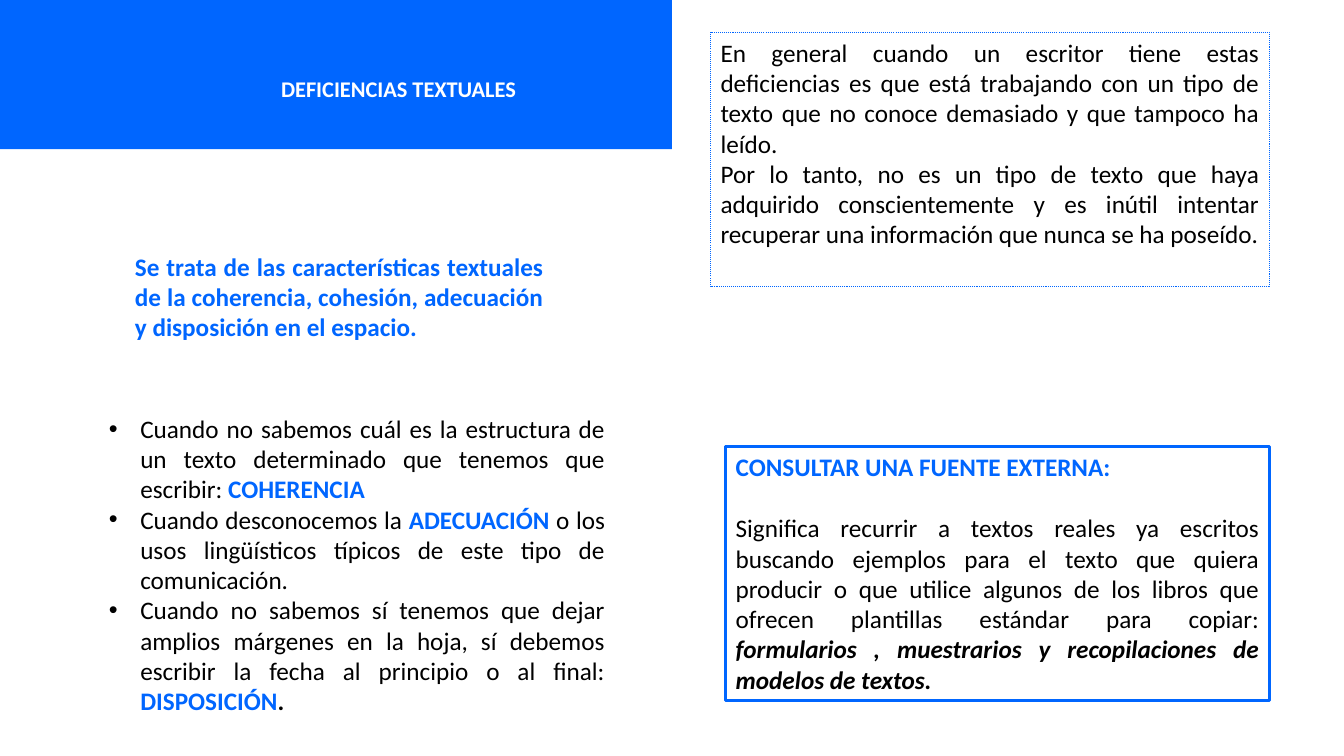
import pptx
import pptx.dml.color
import pptx.enum.dml
import pptx.enum.shapes
import pptx.enum.text
import pptx.oxml
import pptx.oxml.ns
import pptx.util

Pt = pptx.util.Pt
BLUE, BLACK, WHITE = "0066FF", "000000", "FFFFFF"
JUSTIFY = pptx.enum.text.PP_ALIGN.JUSTIFY
BULLET_INDENT = 22.5


def color(value):
    return pptx.dml.color.RGBColor.from_string(value)


def add_rectangle(page, left, top, width, height, fill=None, line=None, weight=0.75, dash=None):
    box = page.shapes.add_shape(pptx.enum.shapes.MSO_SHAPE.RECTANGLE,
                                Pt(left), Pt(top), Pt(width), Pt(height))
    box.shadow.inherit = False
    if fill:
        box.fill.solid()
        box.fill.fore_color.rgb = color(fill)
    else:
        box.fill.background()
    if line:
        box.line.color.rgb = color(line)
        box.line.width = Pt(weight)
        box.line.dash_style = dash
    else:
        box.line.fill.background()
    return box


def add_text_box(page, left, top, width, height):
    return page.shapes.add_textbox(Pt(left), Pt(top), Pt(width), Pt(height))


def add_bullet(para):
    properties = para._p.get_or_add_pPr()
    properties.set("marL", str(Pt(BULLET_INDENT)))
    properties.set("indent", str(-Pt(BULLET_INDENT)))
    namespace = pptx.oxml.ns.nsdecls("a")
    for tag in ('buFont {} typeface="Arial"', 'buChar {} char="•"'):
        properties.append(pptx.oxml.parse_xml(f"<a:{tag.format(namespace)}/>"))


def write(box, paragraphs, size=18, align=JUSTIFY, bullets=False):
    """Fill the box; each paragraph is a list of (text, colour, style), style holding b and/or i."""
    frame = box.text_frame
    frame.word_wrap = True
    frame.vertical_anchor = pptx.enum.text.MSO_ANCHOR.TOP
    for index, spans in enumerate(paragraphs):
        para = frame.add_paragraph() if index else frame.paragraphs[0]
        para.alignment = align
        if bullets:
            add_bullet(para)
        para.font.size = Pt(size)
        para.font.name = "Calibri"
        for text, text_color, style in spans:
            span = para.add_run()
            span.text = text
            span.font.color.rgb = color(text_color)
            span.font.bold = "b" in style
            span.font.italic = "i" in style
    return frame.paragraphs


def main():
    deck = pptx.Presentation()
    deck.slide_width, deck.slide_height = Pt(960), Pt(540)
    page = deck.slides.add_slide(deck.slide_layouts[6])

    add_rectangle(page, 0, 0, 480, 106.6, fill=BLUE)

    summary = add_text_box(page, 89.3, 175.7, 306, 72.7)
    write(summary, [[("Se trata de las características textuales de la coherencia, cohesión, "
                      "adecuación y disposición en el espacio.", BLUE, "b")]])

    advice = add_rectangle(page, 507.6, 23, 399, 181.4, line=BLUE,
                           dash=pptx.enum.dml.MSO_LINE.ROUND_DOT)
    write(advice, [
        [("En general cuando un escritor tiene estas deficiencias es que está trabajando con un "
          "tipo de texto que no conoce demasiado y que tampoco ha leído.", BLACK, "")],
        [("Por lo tanto, no es un tipo de texto que haya adquirido conscientemente y es inútil "
          "intentar recuperar una información que nunca se ha poseído.", BLACK, "")],
    ])

    source = add_rectangle(page, 518.4, 319, 388.2, 181.4, line=BLUE, weight=2.25)
    heading, explanation = write(source, [
        [("CONSULTAR UNA FUENTE EXTERNA:", BLUE, "b")],
        [("Significa recurrir a textos reales ya escritos buscando ejemplos para el texto que "
          "quiera producir o que utilice algunos de los libros que ofrecen plantillas estándar "
          "para copiar: ", BLACK, ""),
         ("formularios , muestrarios y recopilaciones de modelos de textos.", BLACK, "bi")],
    ])
    explanation.space_before = Pt(22)

    title = add_text_box(page, 193.7, 40.3, 215.3, 58.3)
    title_para, = write(title, [[("DEFICIENCIAS TEXTUALES", WHITE, "b")]], size=16,
                        align=pptx.enum.text.PP_ALIGN.LEFT)
    title_para.line_spacing = 1.5

    cases = add_text_box(page, 70.6, 291.6, 368.6, 225.4)
    write(cases, [
        [("Cuando no sabemos cuál es la estructura de un texto determinado que tenemos que "
          "escribir: ", BLACK, ""), ("COHERENCIA", BLUE, "b")],
        [("Cuando desconocemos la ", BLACK, ""), ("ADECUACIÓN ", BLUE, "b"),
         ("o los usos lingüísticos típicos de este tipo de comunicación.", BLACK, "")],
        [("Cuando no sabemos sí tenemos que dejar amplios márgenes en la hoja, sí debemos "
          "escribir la fecha al principio o al final: ", BLACK, ""),
         ("DISPOSICIÓN", BLUE, "b"), (".", BLACK, "b")],
    ], bullets=True)

    deck.save("out.pptx")


if __name__ == "__main__":
    main()
